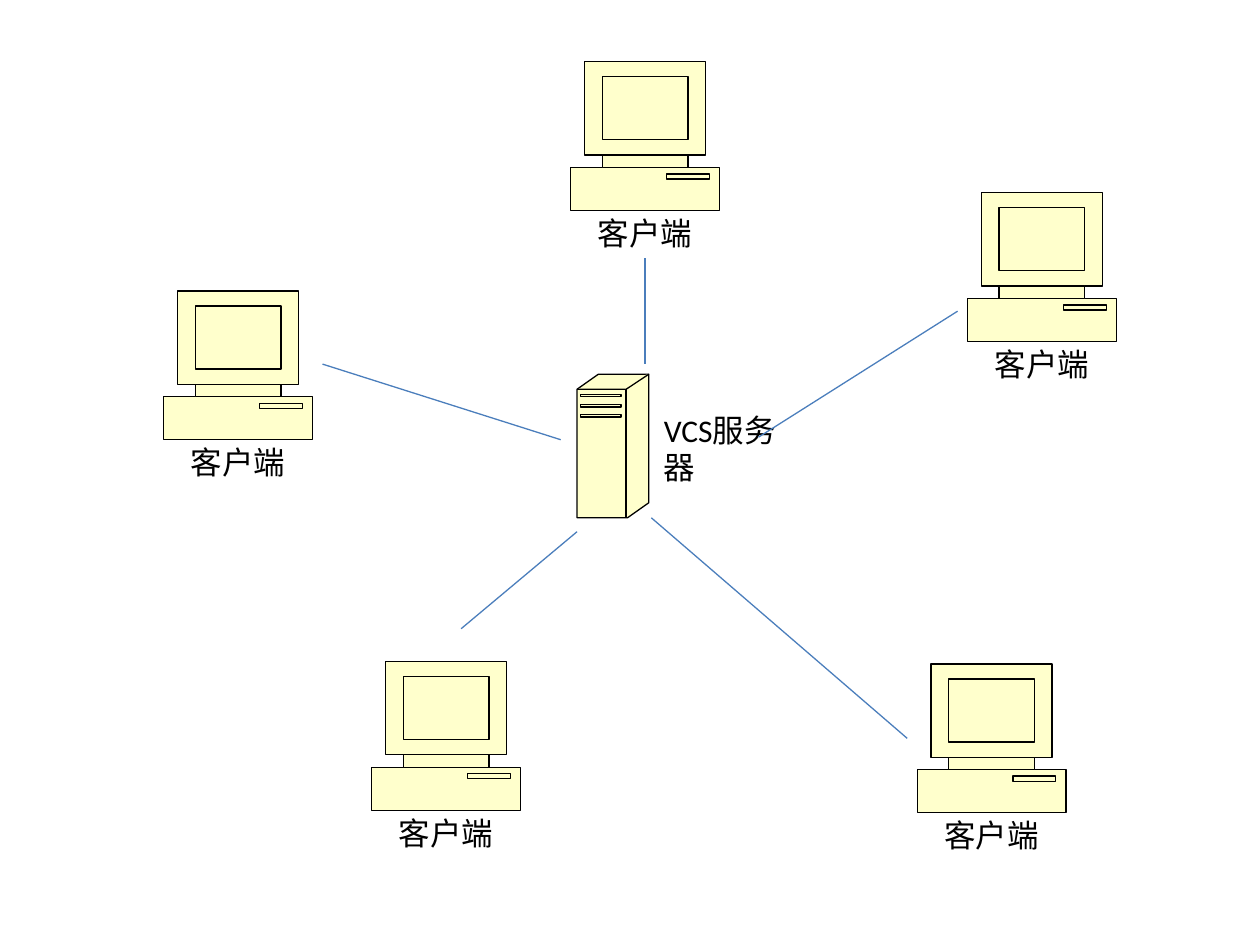
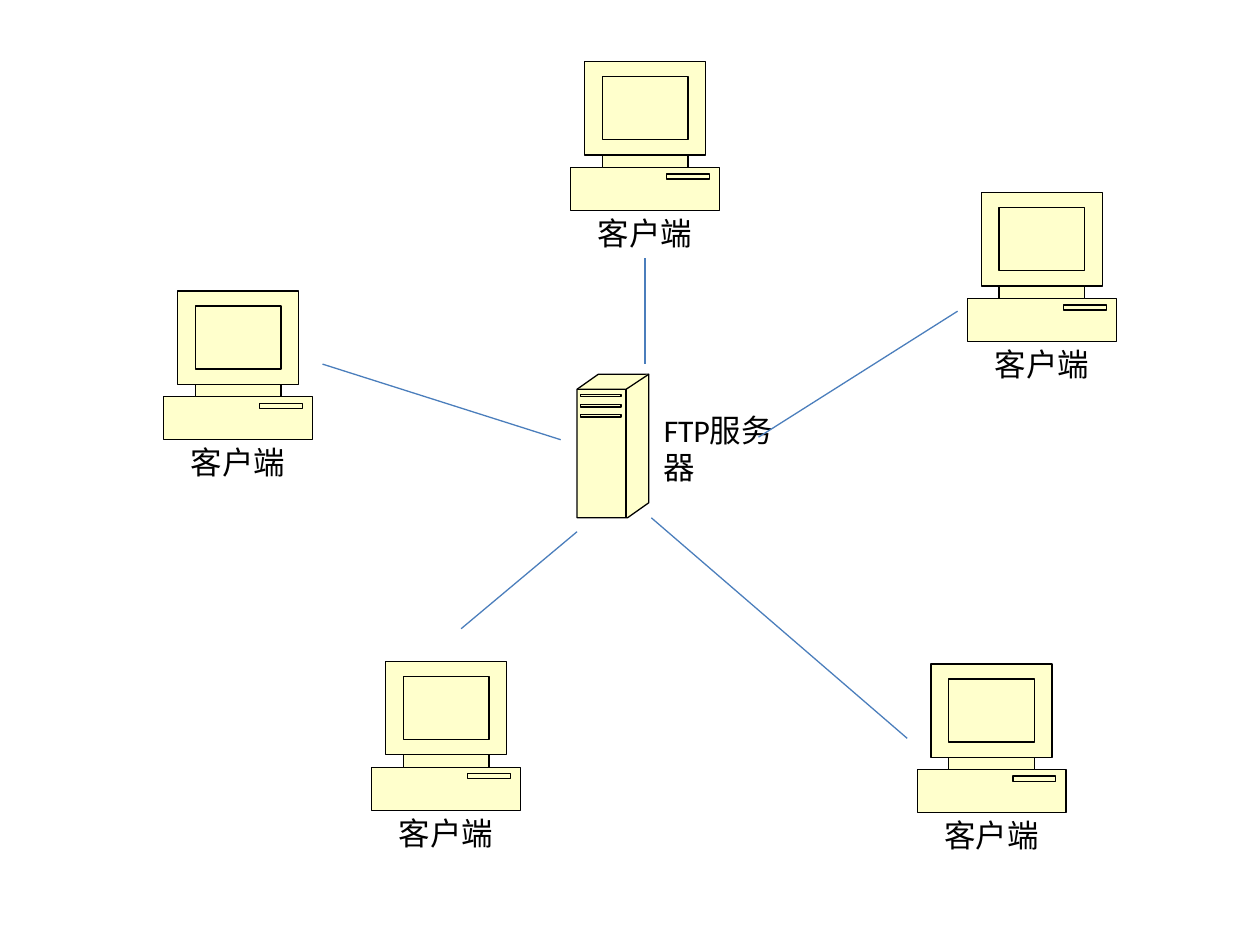
from copy import deepcopy

from lxml import etree
from pptx import Presentation
from pptx.dml.color import RGBColor
from pptx.enum.shapes import MSO_CONNECTOR
from pptx.enum.text import MSO_AUTO_SIZE, PP_ALIGN
from pptx.oxml.ns import qn
from pptx.util import Inches, Pt

STRAIGHT = MSO_CONNECTOR.STRAIGHT
LEFT, CENTER = PP_ALIGN.LEFT, PP_ALIGN.CENTER
GROW = MSO_AUTO_SIZE.SHAPE_TO_FIT_TEXT

COLORS = {"body": "FFFFCC", "outline": "000000", "text": "000000", "link": "4B7EBC"}
FONT = "Calibri"
LINE_WIDTH = Pt(0.75)
BLANK_LAYOUT = 6


def color(name):
    return RGBColor.from_string(COLORS[name])


def box(left, top, right, bottom):
    """Closed rectangle as a list of points."""
    return [(left, bottom), (left, top), (right, top), (right, bottom), (left, bottom)]


def write_text(shape, text, size=18, align=LEFT, font=FONT, fill="text"):
    frame = shape.text_frame
    frame.word_wrap = True
    frame.auto_size = GROW
    paragraph = frame.paragraphs[0]
    paragraph.alignment = align
    run = paragraph.add_run()
    run.text = text
    run.font.size = Pt(size)
    run.font.name = font
    run.font.color.rgb = color(fill)


# Outlines in inches, measured from the top left corner of each device
COMPUTER = [
    # Case, neck and monitor
    [(0.93, 0.84), (0.93, 0.74), (1.07, 0.74), (1.07, 0), (0.11, 0), (0.11, 0.74),
     (0.25, 0.74), (0.25, 0.84), (0, 0.84), (0, 1.18), (1.18, 1.18), (1.18, 0.84),
     (0.93, 0.84)],
    box(0.25, 0.74, 0.93, 0.84),  # neck
    box(0.25, 0.12, 0.93, 0.62),  # screen
    box(0.76, 0.89, 1.1, 0.93),   # drive slot
]
SERVER = [
    # Whole tower, then its top edge and front corner
    [(0, 0.12), (0.17, 0), (0.57, 0), (0.57, 1.02), (0.4, 1.14), (0, 1.14), (0, 0.12)],
    [(0, 0.12), (0.39, 0.12), (0.57, 0)],
    [(0.39, 0.12), (0.39, 1.14)],
] + [box(0.03, 0.16 + 0.08 * row, 0.35, 0.18 + 0.08 * row) for row in range(3)]


class Diagram:
    """Holds the presentation and the slide being drawn."""

    def __init__(self):
        self.presentation = Presentation()
        self.presentation.slide_width = Inches(10)
        self.presentation.slide_height = Inches(7.5)
        self.slide = None

    def new_slide(self):
        layout = self.presentation.slide_layouts[BLANK_LAYOUT]
        self.slide = self.presentation.slides.add_slide(layout)

    def outline(self, shapes, left, top, contours):
        """One freeform in which every contour is filled on its own."""
        placed = [[(Inches(left + x), Inches(top + y)) for x, y in contour]
                  for contour in contours]
        builder = shapes.build_freeform(*placed[0][0])
        for index, contour in enumerate(placed):
            if index:
                builder.move_to(*contour[0])
            builder.add_line_segments(contour[1:], close=contour[0] == contour[-1])
        shape = builder.convert_to_shape()
        shape.shadow.inherit = False
        shape.fill.solid()
        shape.fill.fore_color.rgb = color("body")
        shape.line.color.rgb = color("outline")
        shape.line.width = LINE_WIDTH

        # Give each contour its own a:path, so that overlaps leave no holes
        first = shape.element.find(".//" + qn("a:path"))
        steps = list(first)
        empty = deepcopy(first)
        for step in list(empty):
            empty.remove(step)
        current = first
        for step in steps[1:]:
            if step.tag == qn("a:moveTo"):
                current = deepcopy(empty)
                first.getparent().append(current)
            current.append(step)

    def device(self, left, top, contours, label, label_box, align):
        """Grouped outline and label; label_box is relative to the device."""
        group = self.slide.shapes.add_group_shape()
        self.outline(group.shapes, left, top, contours)
        x, y, width, height = label_box
        textbox = group.shapes.add_textbox(
            Inches(left + x), Inches(top + y), Inches(width), Inches(height))
        write_text(textbox, label, align=align)

    def client(self, left, top):
        self.device(left, top, COMPUTER, "客户端", (-0.08, 1.16, 1.34, 0.4), CENTER)

    def server(self, left, top, label):
        self.device(left, top, SERVER, label, (0.59, 0.24, 1.1, 0.71), LEFT)

    def link(self, start, end):
        connector = self.slide.shapes.add_connector(
            STRAIGHT, *(Inches(value) for value in start + end))
        connector.line.color.rgb = color("link")
        connector.line.width = LINE_WIDTH
        properties = connector.element.find(qn("p:spPr"))
        etree.SubElement(properties, qn("a:effectLst"))


CLIENTS = [(1.3, 2.31), (4.53, 0.49), (7.68, 1.53), (7.28, 5.27), (2.95, 5.25)]
LINKS = [
    ((2.56, 2.89), (4.45, 3.49)),
    ((5.12, 2.05), (5.12, 2.89)),
    ((7.6, 2.47), (6.02, 3.47)),
    ((7.2, 5.86), (5.17, 4.11)),
    ((3.66, 4.99), (4.58, 4.22)),
]

# One star network per kind of server
diagram = Diagram()
for service in ("VCS", "FTP"):
    diagram.new_slide()
    for position in CLIENTS:
        diagram.client(*position)
    diagram.server(4.58, 2.97, service + "服务器")
    for start, end in LINKS:
        diagram.link(start, end)

diagram.presentation.save("out.pptx")
